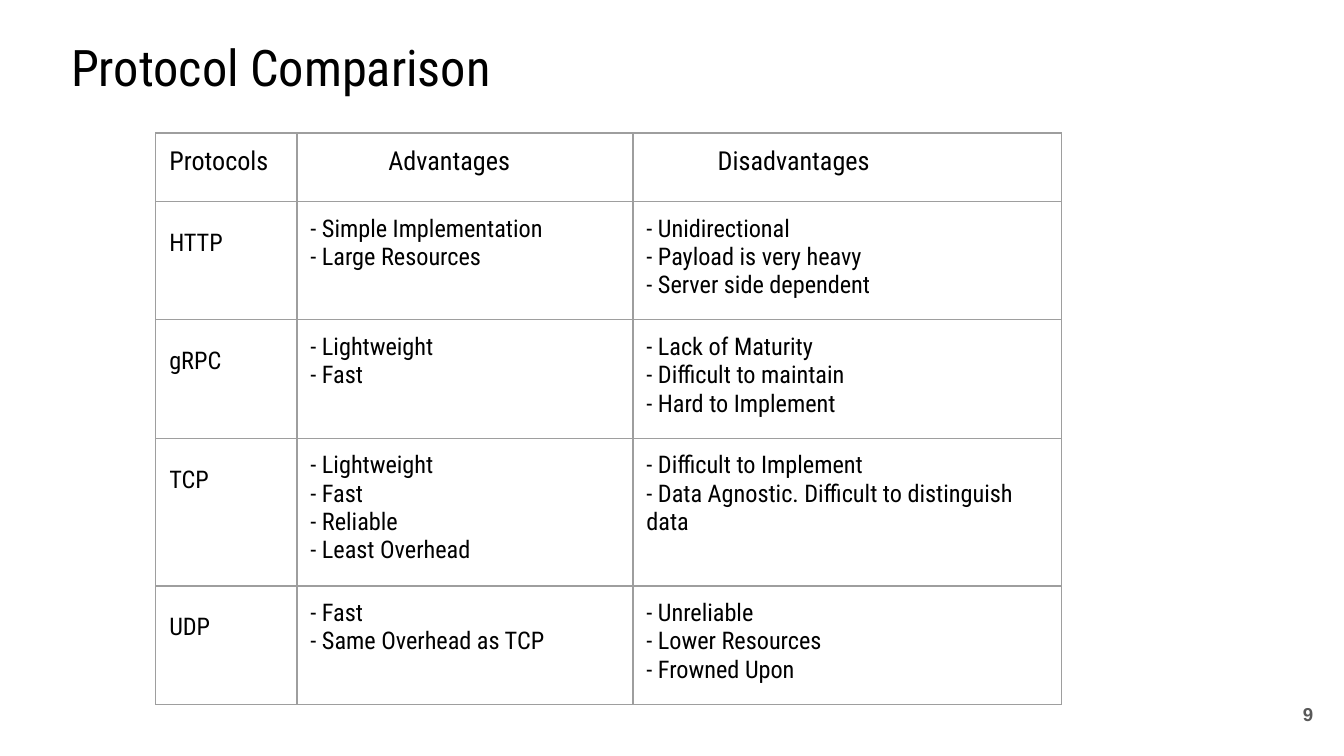
from lxml import etree
from pptx import Presentation, util as u
from pptx.dml.color import RGBColor
from pptx.enum import text
from pptx.oxml import ns

BLACK = RGBColor(0x00, 0x00, 0x00)
GRAY = RGBColor(0x59, 0x59, 0x59)
BORDER = RGBColor(0x9E, 0x9E, 0x9E)
WHITE = RGBColor(0xFF, 0xFF, 0xFF)
FONT = "Roboto Condensed"
PADDING = 0.1

# Column widths and row heights in inches
COLUMNS = [1.05, 2.5, 3.19]
ROWS = [0.51, 0.88, 0.88, 1.1, 0.88]

# Each header with its indent in inches
HEADERS = [("Protocols", 0), ("Advantages", 0.58), ("Disadvantages", 0.53)]
PROTOCOLS = [
    ("HTTP", ["Simple Implementation", "Large Resources"],
     ["Unidirectional", "Payload is very heavy", "Server side dependent"]),
    ("gRPC", ["Lightweight", "Fast"],
     ["Lack of Maturity", "Difficult to maintain", "Hard to Implement"]),
    ("TCP", ["Lightweight", "Fast", "Reliable", "Least Overhead"],
     ["Difficult to Implement",
      "Data Agnostic. Difficult to distinguish data"]),
    ("UDP", ["Fast", "Same Overhead as TCP"],
     ["Unreliable", "Lower Resources", "Frowned Upon"]),
]


def format_runs(frame, size, color=BLACK, name=FONT, bold=False):
    for paragraph in frame.paragraphs:
        for run in paragraph.runs:
            run.font.size = u.Pt(size)
            run.font.name = name
            run.font.bold = bold
            run.font.color.rgb = color


def set_margins(owner, indent=0):
    owner.margin_left = u.Inches(PADDING + indent)
    owner.margin_right = owner.margin_top = owner.margin_bottom = u.Inches(PADDING)


def add_label(slide, box, words, anchor, align, **font):
    shape = slide.shapes.add_textbox(*map(u.Inches, box))
    frame = shape.text_frame
    frame.word_wrap = True
    frame.vertical_anchor = anchor
    set_margins(frame)
    frame.text = words
    frame.paragraphs[0].alignment = align
    format_runs(frame, **font)


def add_borders(cell):
    properties = cell._tc.get_or_add_tcPr()
    for side in ("a:lnL", "a:lnR", "a:lnT", "a:lnB"):
        line = etree.SubElement(properties, ns.qn(side), w=str(u.Pt(0.75)))
        fill = etree.SubElement(line, ns.qn("a:solidFill"))
        etree.SubElement(fill, ns.qn("a:srgbClr"), val=str(BORDER))


def fill_cell(cell, lines, size, indent=0, spacing=1.0):
    cell.text_frame.text = "\n".join(lines)
    for paragraph in cell.text_frame.paragraphs:
        paragraph.line_spacing = spacing
    format_runs(cell.text_frame, size)
    set_margins(cell, indent)
    add_borders(cell)
    cell.fill.background()


def add_comparison(slide, left, top):
    box = map(u.Inches, (left, top, sum(COLUMNS), sum(ROWS)))
    table = slide.shapes.add_table(len(ROWS), len(COLUMNS), *box).table
    table.first_row = table.horz_banding = False
    for column, width in zip(table.columns, COLUMNS):
        column.width = u.Inches(width)
    for row, height in zip(table.rows, ROWS):
        row.height = u.Inches(height)

    # Header row
    for index, (header, indent) in enumerate(HEADERS):
        fill_cell(table.cell(0, index), [header], 14, indent)

    # One row for each protocol
    for index, (protocol, *lists) in enumerate(PROTOCOLS, 1):
        fill_cell(table.cell(index, 0), [protocol], 13, spacing=1.5)
        for column, points in enumerate(lists, 1):
            fill_cell(table.cell(index, column), [f"- {point}" for point in points], 13)


def main():
    presentation = Presentation()
    # Widescreen, 16 to 9
    presentation.slide_width = u.Inches(10)
    presentation.slide_height = u.Inches(10) * 9 // 16
    slide = presentation.slides.add_slide(presentation.slide_layouts[6])
    slide.background.fill.solid()
    slide.background.fill.fore_color.rgb = WHITE

    add_comparison(slide, 1.16, 0.99)
    # Page number
    add_label(slide, (9.27, 5.1, 0.6, 0.43), "9", text.MSO_ANCHOR.MIDDLE,
              text.PP_ALIGN.RIGHT, size=10, color=GRAY, name="Arial", bold=True)
    # Title
    add_label(slide, (0.43, 0.14, 9.32, 0.68), "Protocol Comparison",
              text.MSO_ANCHOR.BOTTOM, text.PP_ALIGN.LEFT, size=27)
    presentation.save("out.pptx")


if __name__ == "__main__":
    main()
